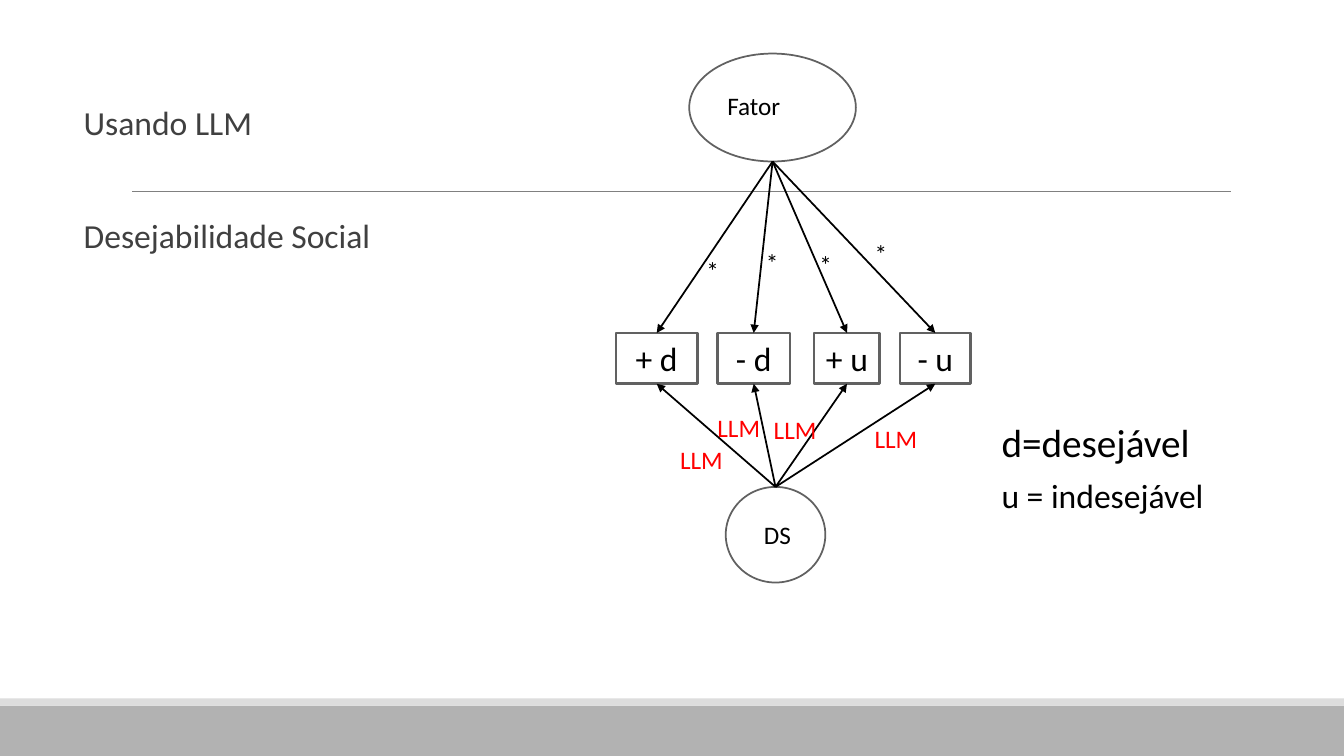
"""Build the slide on social desirability: a factor, four items and DS."""
from lxml import etree
from pptx import Presentation
from pptx.dml.color import RGBColor
from pptx.enum import shapes, text
from pptx.oxml.ns import qn
from pptx.util import Cm, Pt

HUE = {"ink": "000000", "body": "404040", "edge": "616161", "rule": "808080",
       "mark": "FF0000", "band": "B2B2B2", "strip": "DDDDDD"}
FONT = "Calibri"
WIDE, HIGH = 33.87, 19.05

BANDS = [("band", 17.78, 1.27), ("strip", 17.6, 0.18)]
RULE = (3.33, 4.83, 31.01, 4.83)
TOPICS = [("Usando LLM", 24), ("Desejabilidade Social", 24)]
LEGEND = [("d=desejável", 28), ("u = indesejável", 24)]
FACTOR = (17.37, 1.35, 4.2, 2.72)
BIAS = (18.29, 12.27, 2.51, 2.41)
ITEMS = [("+ d", 15.52, 2.06), ("- d", 18.08, 1.83),
         ("+ u", 20.52, 1.65), ("- u", 22.68, 1.78)]
ROW, TALL = 8.39, 1.28
NAMES = [("Fator", 18.08, 2.16, 5.94), ("DS", 19, 12.95, 1.68)]
STARS = [(17.55, 6.32), (19.05, 6.12), (20.4, 6.15), (21.79, 5.89)]
LOADS = [(16.89, 11.07), (17.83, 10.26), (19.25, 10.31), (21.79, 10.54)]


def tint(hue):
    return RGBColor.from_string(HUE[hue])


def style(par, size, hue):
    for run in par.runs:
        run.font.name, run.font.size = FONT, Pt(size)
        run.font.color.rgb = tint(hue)


def shape(slide, kind, spot, fill=None, width=0):
    item = slide.shapes.add_shape(kind, *map(Cm, spot))
    item.shadow.inherit = False
    if fill:
        item.fill.solid()
        item.fill.fore_color.rgb = tint(fill)
    else:
        item.fill.background()
    if width:
        item.line.color.rgb = tint("edge")
        item.line.width = Pt(width)
    else:
        item.line.fill.background()
    return item


def line(slide, ends, hue, width):
    link = slide.shapes.add_connector(shapes.MSO_CONNECTOR.STRAIGHT, *map(Cm, ends))
    link.line.color.rgb = tint(hue)
    link.line.width = Pt(width)
    etree.SubElement(link._element.spPr, qn("a:effectLst"))
    return link


def arrow(slide, start, box, side):
    link = line(slide, (*start, *start), "ink", 1.25)
    link.end_connect(box, side)
    etree.SubElement(link.line._get_or_add_ln(), qn("a:tailEnd"), type="triangle")


def write(slide, spot, lines, hue="ink", gap=0, after=0, lead=1.0):
    frame = slide.shapes.add_textbox(*map(Cm, spot)).text_frame
    frame.word_wrap = True
    frame.text = "\n".join(words for words, size in lines)
    for n, (par, (words, size)) in enumerate(zip(frame.paragraphs, lines)):
        par.line_spacing = lead
        par.space_before = Pt(gap if n else 0)
        par.space_after = Pt(after)
        style(par, size, hue)
    return frame


def main():
    deck = Presentation()
    deck.slide_width, deck.slide_height = Cm(WIDE), Cm(HIGH)
    slide = deck.slides.add_slide(deck.slide_layouts[6])
    rect, oval = shapes.MSO_SHAPE.RECTANGLE, shapes.MSO_SHAPE.OVAL

    for hue, top, tall in BANDS:
        shape(slide, rect, (0, top, WIDE, tall), hue)
    line(slide, RULE, "rule", 0.5)
    frame = write(slide, (2.11, 2.57, 21.23, 4.95), TOPICS, "body", 52.4, 2, 0.9)
    frame.margin_left = frame.margin_right = 0

    for spot in (FACTOR, BIAS):
        shape(slide, oval, spot, width=1.25)
    foot = (FACTOR[0] + FACTOR[2] / 2, FACTOR[1] + FACTOR[3])
    head = (BIAS[0] + BIAS[2] / 2, BIAS[1])
    for words, left, wide in ITEMS:
        box = shape(slide, rect, (left, ROW, wide, TALL), width=1.75)
        frame = box.text_frame
        frame.word_wrap = False
        frame.vertical_anchor = text.MSO_ANCHOR.MIDDLE
        frame.text = words
        frame.paragraphs[0].alignment = text.PP_ALIGN.CENTER
        style(frame.paragraphs[0], 24, "ink")
        arrow(slide, foot, box, 0)
        arrow(slide, head, box, 2)

    for words, left, top, wide in NAMES:
        write(slide, (left, top, wide, 1.02), [(words, 18)])
    write(slide, (24.99, 10.54, 6.27, 2.87), LEGEND, gap=10, lead=0.9)
    for words, spots, wide, hue in (("*", STARS, 0.89, "ink"),
                                    ("LLM", LOADS, 2.39, "mark")):
        for left, top in spots:
            write(slide, (left, top, wide, 1.02), [(words, 18)], hue)
    deck.save("out.pptx")


if __name__ == "__main__":
    main()
